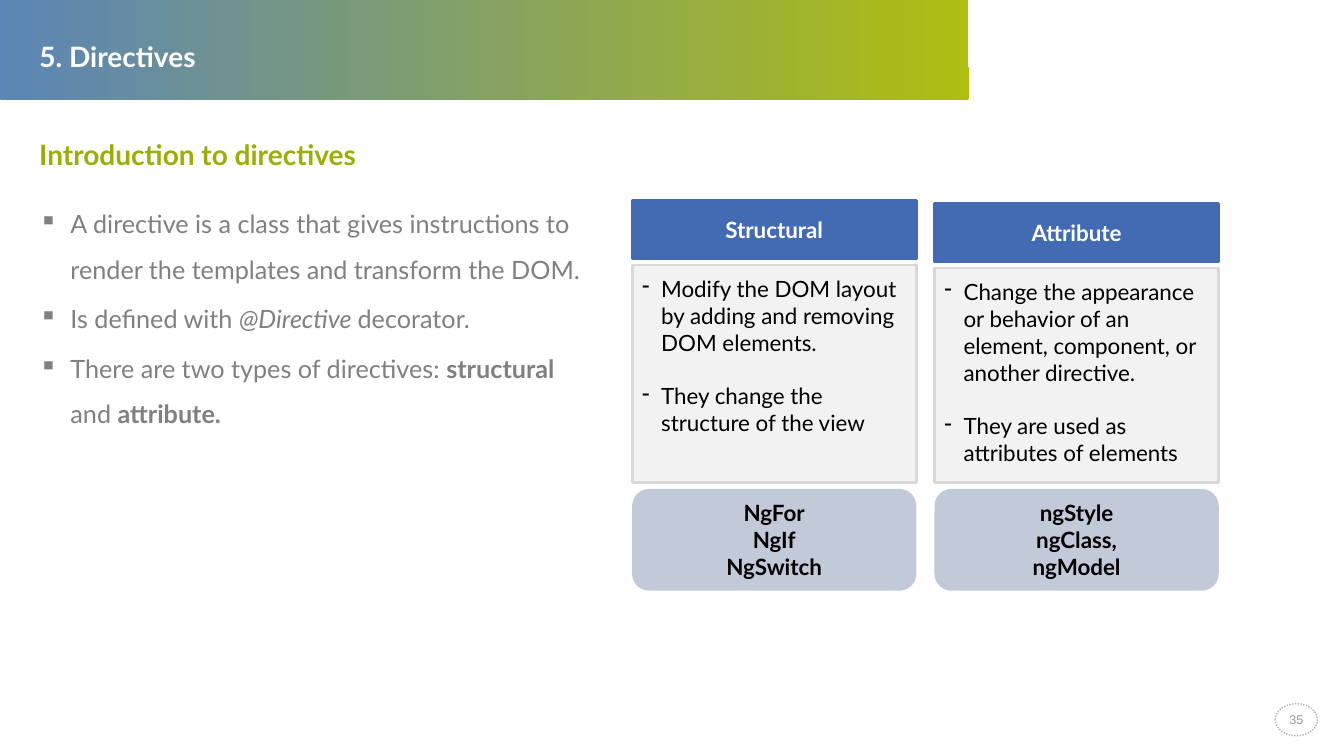
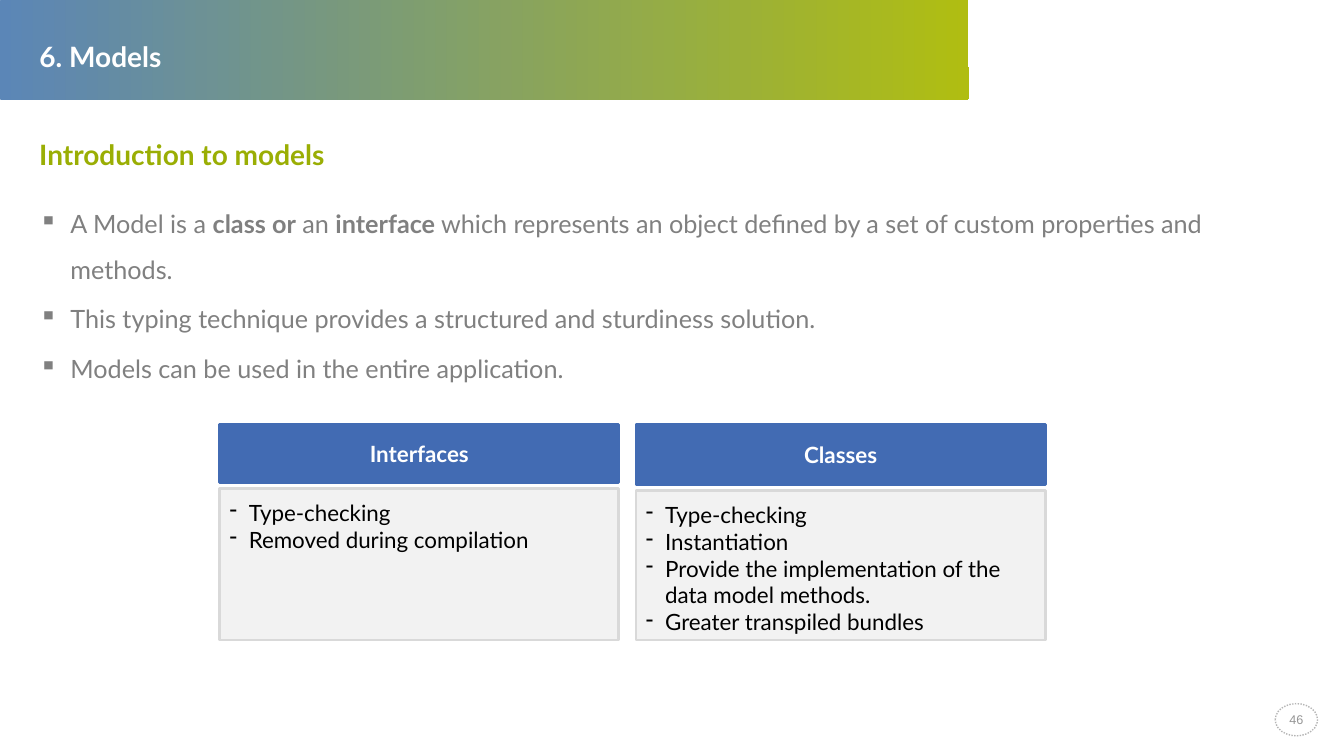
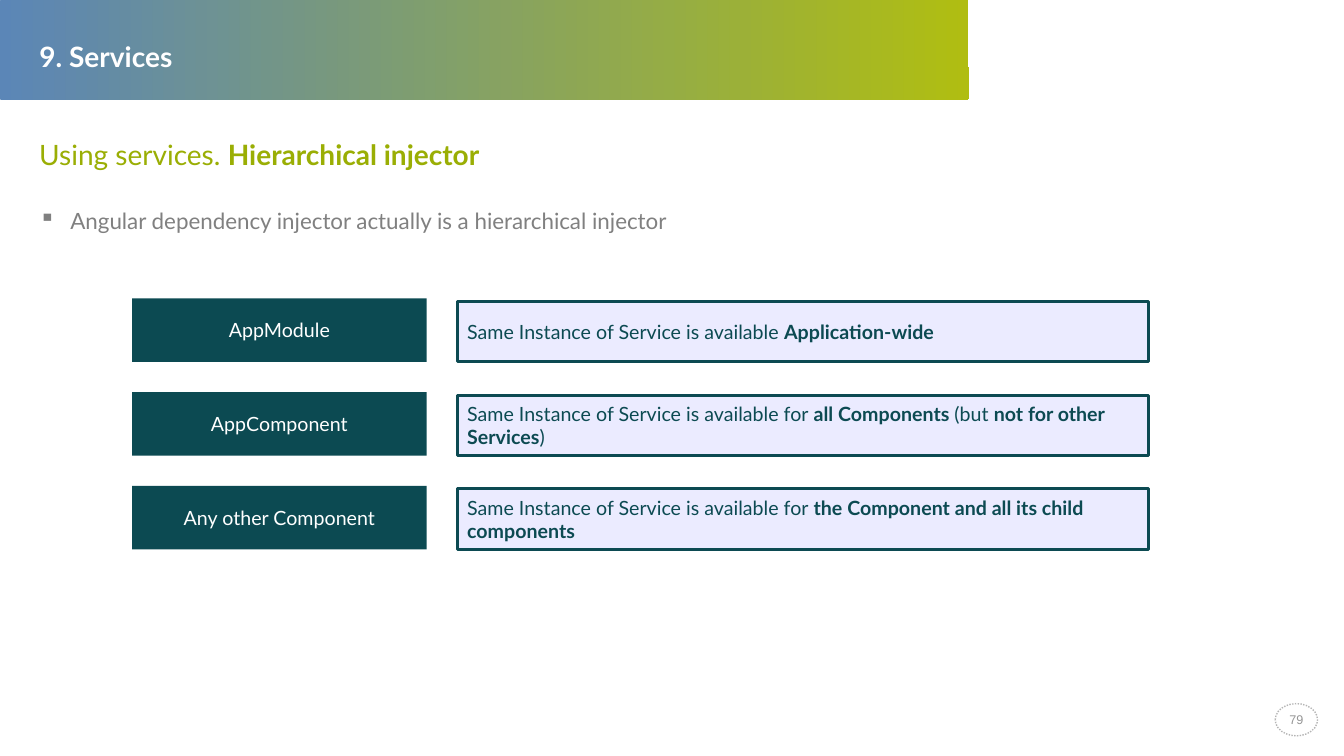
from typing import NamedTuple

from lxml.etree import SubElement
from pptx import Presentation
from pptx.dml.color import RGBColor as RGB
from pptx.enum.dml import MSO_LINE
from pptx.enum.shapes import MSO_SHAPE as SHAPE
from pptx.enum.text import MSO_ANCHOR as ANCHOR, MSO_AUTO_SIZE as FIT, PP_ALIGN as ALIGN
from pptx.oxml.ns import qn
from pptx.util import Inches, Pt

WIDTH, HEIGHT = Inches(13.33), Inches(7.5)
FONT = "Lato"

WHITE = RGB(0xFF, 0xFF, 0xFF)
BLACK = RGB(0x00, 0x00, 0x00)
BAND_BLUE = RGB(0x4F, 0x7D, 0xB2)
BAND_GREEN = RGB(0xAA, 0xB9, 0x00)
HEADING_GREEN = RGB(0x9A, 0xAE, 0x04)
BODY_GREY = RGB(0x80, 0x80, 0x80)
BADGE_LINE = RGB(0xB5, 0xB5, 0xB5)
BADGE_TEXT = RGB(0x96, 0x96, 0x96)
CARD_BLUE = RGB(0x42, 0x6B, 0xB3)
PANEL_FILL = RGB(0xF2, 0xF2, 0xF2)
PANEL_LINE = RGB(0xD9, 0xD9, 0xD9)
NAVY = RGB(0x00, 0x20, 0x60)
TEAL = RGB(0x0C, 0x4A, 0x52)
LAVENDER = RGB(0xEB, 0xEB, 0xFF)


class Box(NamedTuple):
    """Percentages of the slide's width and height."""
    left: float
    top: float
    width: float
    height: float

    def emu(self):
        return (int(WIDTH * self.left / 100), int(HEIGHT * self.top / 100),
                int(WIDTH * self.width / 100), int(HEIGHT * self.height / 100))


BAND = Box(0, 0, 72.08, 13.2)
BADGE = Box(94.88, 93.07, 3.15, 4.27)
TITLE = Box(2.18, 4.53, 66.75, 6.27)
SUBTITLE = Box(2.18, 17.47, 94.5, 6.27)
BULLETS = Box(2.18, 24.93, 94.5, 27.47)
CARD_GAP = 0.8


def set_alpha(color_fill, percent):
    for color in color_fill.iter(qn("a:srgbClr")):
        SubElement(color, qn("a:alpha")).set("val", str(percent * 1000))


def set_bullet(paragraph, char, indent):
    props = paragraph._p.get_or_add_pPr()
    props.set("marL", str(Inches(indent)))
    props.set("indent", str(-Inches(indent)))
    SubElement(props, qn("a:buChar")).set("char", char)


def write(frame, lines, size, color, bold=False, font=FONT, align=ALIGN.LEFT,
          anchor=ANCHOR.TOP, bullet=None, indent=0, spacing=None, gap=0):
    """Text between * marks is bold, between _ marks italic."""
    frame.word_wrap = True
    frame.auto_size = FIT.NONE
    frame.vertical_anchor = anchor
    for number, line in enumerate(lines):
        paragraph = frame.add_paragraph() if number else frame.paragraphs[0]
        paragraph.alignment = align
        if bullet:
            set_bullet(paragraph, bullet, indent)
        if spacing:
            paragraph.line_spacing = spacing
        if number and gap:
            paragraph.space_before = Pt(gap)
        for strong, part in enumerate(line.split("*")):
            for slanted, piece in enumerate(part.split("_")):
                if piece:
                    run = paragraph.add_run()
                    run.text = piece
                    run.font.name, run.font.size = font, Pt(size)
                    run.font.color.rgb = color
                    run.font.bold = bold or strong % 2 == 1
                    run.font.italic = slanted % 2 == 1


def add_block(slide, box, fill, line=None, line_width=2, kind=SHAPE.RECTANGLE):
    block = slide.shapes.add_shape(kind, *box.emu())
    block.shadow.inherit = False
    block.fill.solid()
    block.fill.fore_color.rgb = fill
    if line is None:
        block.line.fill.background()
    else:
        block.line.color.rgb = line
        block.line.width = Pt(line_width)
    return block


def add_text(slide, box, lines, size, color, **style):
    write(slide.shapes.add_textbox(*box.emu()).text_frame, lines, size, color, **style)


def add_band(slide):
    band = add_block(slide, BAND, BAND_BLUE, kind=SHAPE.ROUNDED_RECTANGLE)
    band.adjustments[0] = 0.01
    band.fill.gradient()
    band.fill.gradient_angle = 0
    for stop, color in zip(band.fill.gradient_stops, (BAND_BLUE, BAND_GREEN)):
        stop.color.rgb = color
    set_alpha(band.element.spPr, 92)
    slide.shapes.element.insert(2, band.element)


def add_badge(slide, page):
    badge = add_block(slide, BADGE, WHITE, BADGE_LINE, 1, SHAPE.OVAL)
    badge.line.dash_style = MSO_LINE.ROUND_DOT
    frame = badge.text_frame
    frame.margin_left = frame.margin_right = frame.margin_top = frame.margin_bottom = 0
    write(frame, [str(page)], 9, BADGE_TEXT, font="Arial",
          align=ALIGN.CENTER, anchor=ANCHOR.MIDDLE)


def add_page(deck, title, subtitle, page):
    slide = deck.slides.add_slide(deck.slide_layouts[5])
    heading = slide.shapes.title
    heading.left, heading.top, heading.width, heading.height = TITLE.emu()
    write(heading.text_frame, [title], 20, WHITE, bold=True)
    add_band(slide)
    add_badge(slide, page)
    add_text(slide, SUBTITLE, [subtitle], 20, HEADING_GREEN)
    return slide


def add_bullets(slide, box, lines, size=18):
    add_text(slide, box, lines, size, BODY_GREY, bullet="▪", indent=0.31,
             spacing=1.5, gap=3)


def add_card(slide, box, name, points, header=7.73, gap=0):
    label = add_block(slide, box._replace(height=header), CARD_BLUE, CARD_BLUE)
    write(label.text_frame, [name], 16, WHITE, bold=True,
          align=ALIGN.CENTER, anchor=ANCHOR.MIDDLE)
    offset = header + CARD_GAP
    panel = add_block(slide, box._replace(top=box.top + offset, height=box.height - offset),
                      PANEL_FILL, PANEL_LINE)
    frame = panel.text_frame
    frame.margin_top, frame.margin_right, frame.margin_bottom = Inches(0.1), Inches(0.07), 0
    write(frame, points, 16, BLACK, bullet="-", indent=0.19, gap=gap)


def add_examples(slide, box, names):
    examples = add_block(slide, box, NAVY, kind=SHAPE.ROUNDED_RECTANGLE)
    set_alpha(examples.element.spPr, 24)
    write(examples.text_frame, names, 16, BLACK, bold=True,
          align=ALIGN.CENTER, anchor=ANCHOR.MIDDLE)


def add_scopes(slide, box, scopes, row=8.4, note_height=8):
    pitch = (box.height - row) / (len(scopes) - 1)
    for number, (provider, note) in enumerate(scopes):
        top = box.top + number * pitch
        label = add_block(slide, Box(box.left, top, box.width * 0.29, row), TEAL)
        write(label.text_frame, [provider], 14, WHITE,
              align=ALIGN.CENTER, anchor=ANCHOR.MIDDLE)
        scope = add_block(slide, Box(box.left + box.width * 0.32, top + row - note_height,
                                     box.width * 0.68, note_height), LAVENDER, TEAL)
        write(scope.text_frame, [note], 14, TEAL, anchor=ANCHOR.MIDDLE)


def directives_slide(deck):
    slide = add_page(deck, "5. Directives", "*Introduction to directives*", 35)
    add_bullets(slide, BULLETS._replace(width=41.93, height=32.4), [
        "A directive is a class that gives instructions to render the templates "
        "and transform the DOM.",
        "Is defined with _@Directive _decorator.",
        "There are two types of directives: *structural *and *attribute.*",
    ])
    kinds = [
        (47.03, 26.53, "Structural",
         ["Modify the DOM layout by adding and removing DOM elements.",
          "They change the structure of the view"],
         ["NgFor", "NgIf", "NgSwitch"]),
        (69.53, 26.93, "Attribute",
         ["Change the appearance or behavior of an element, component, or another directive.",
          "They are used as attributes of elements"],
         ["ngStyle", "ngClass,", "ngModel"]),
    ]
    bottom = 63.87
    for left, top, name, points, examples in kinds:
        card = Box(left, top, 21.15, bottom - top)
        add_card(slide, card, name, points, gap=19.2)
        add_examples(slide, card._replace(top=bottom + CARD_GAP, height=13.47), examples)


def models_slide(deck):
    slide = add_page(deck, "6. Models", "*Introduction to models*", 46)
    add_bullets(slide, BULLETS, [
        "A Model is a *class or* an *interface* which represents an object defined "
        "by a set of custom properties and methods.",
        "This typing technique provides a structured and sturdiness solution.",
        "Models can be used in the entire application.",
    ])
    add_card(slide, Box(16.35, 56.13, 29.7, 28.54), "Interfaces",
             ["Type-checking", "Removed during compilation"])
    add_card(slide, Box(47.33, 56.13, 30.45, 28.54), "Classes",
             ["Type-checking", "Instantiation",
              "Provide the implementation of the data model methods.",
              "Greater transpiled bundles"], header=8)


def services_slide(deck):
    slide = add_page(deck, "9. Services", "Using services. *Hierarchical injector*", 79)
    add_bullets(slide, BULLETS._replace(height=8.27),
                ["Angular dependency injector actually is a hierarchical injector"], size=16)
    add_scopes(slide, Box(9.83, 39.47, 75.6, 33.2), [
        ("AppModule", "Same Instance of Service is available *Application-wide*"),
        ("AppComponent", "Same Instance of Service is available for *all Components *"
                         "(but *not for other Services*)"),
        ("Any other Component", "Same Instance of Service is available for "
                                "*the Component and all its child components*"),
    ])


def main():
    deck = Presentation()
    deck.slide_width, deck.slide_height = WIDTH, HEIGHT
    directives_slide(deck)
    models_slide(deck)
    services_slide(deck)
    deck.save("out.pptx")


if __name__ == "__main__":
    main()
